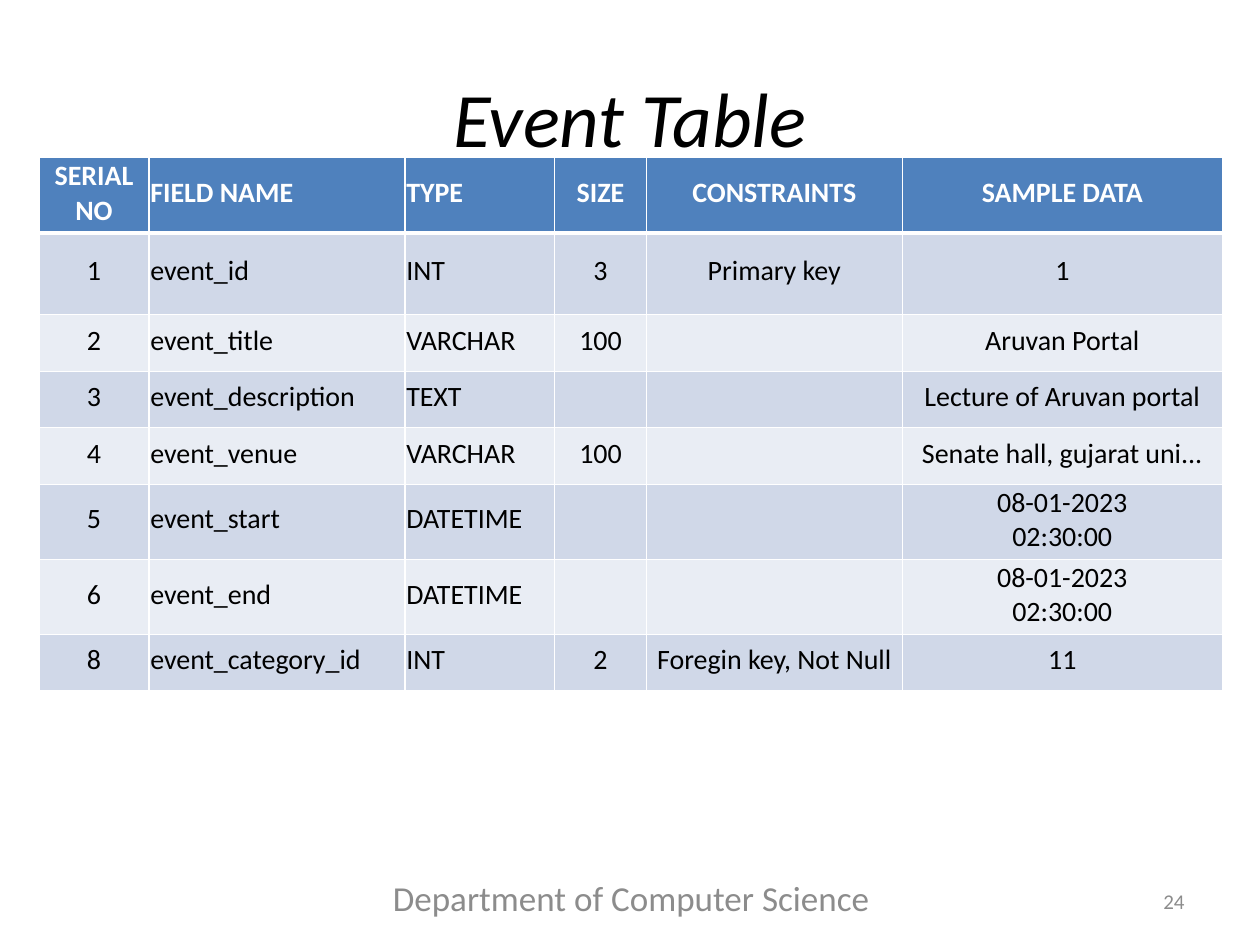
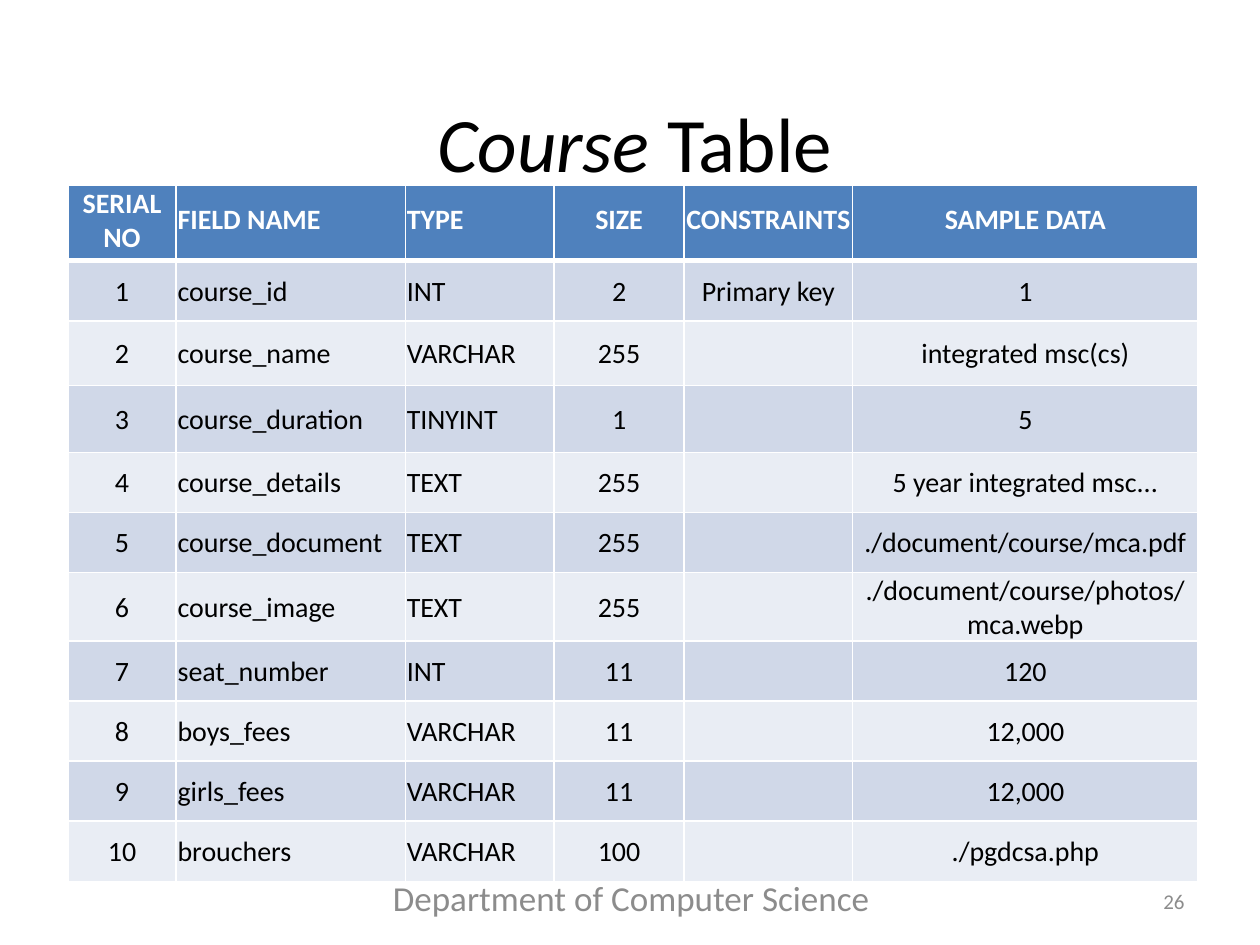
from lxml import etree
from pptx import Presentation
from pptx.dml.color import RGBColor
from pptx.enum.text import MSO_ANCHOR as Anchor, PP_ALIGN as Align
from pptx.oxml.ns import qn
from pptx.util import Cm, Pt

COLORS = {
    "text": "000000",
    "footer": "8C8C8C",
    "header": "4F81BD",
    "header_text": "FFFFFF",
    "band_dark": "D0D8E8",
    "band_light": "E9EDF4",
    "border": "FFFFFF",
}

# Text formats shared by both slides
BASE = {"name": "Calibri", "bold": False, "italic": False}
TITLE = {**BASE, "size": 44, "color": "text"}
FOOTER = {**BASE, "size": 20, "color": "footer"}
PAGE_NO = {**BASE, "size": 12, "color": "footer"}
HEAD = {**BASE, "size": 16, "color": "header_text", "bold": True}
BODY = {**BASE, "size": 16, "color": "text"}

HEADINGS = ("SERIAL NO", "FIELD NAME", "TYPE", "SIZE", "CONSTRAINTS", "SAMPLE DATA")
ALIGNS = (Align.CENTER, Align.LEFT, Align.LEFT) + (Align.CENTER,) * 3

EVENT_ROWS = [
    ("1", "event_id", "INT", "3", "Primary key", "1"),
    ("2", "event_title", "VARCHAR", "100", "", "Aruvan Portal"),
    ("3", "event_description", "TEXT", "", "", "Lecture of Aruvan portal"),
    ("4", "event_venue", "VARCHAR", "100", "", "Senate hall, gujarat uni..."),
    ("5", "event_start", "DATETIME", "", "", "08-01-2023\n02:30:00"),
    ("6", "event_end", "DATETIME", "", "", "08-01-2023\n02:30:00"),
    ("8", "event_category_id", "INT", "2", "Foregin key, Not Null", "11"),
]
COURSE_ROWS = [
    ("1", "course_id", "INT", "2", "Primary key", "1"),
    ("2", "course_name", "VARCHAR", "255", "", "integrated msc(cs)"),
    ("3", "course_duration", "TINYINT", "1", "", "5"),
    ("4", "course_details", "TEXT", "255", "", "5 year integrated msc..."),
    ("5", "course_document", "TEXT", "255", "", "./document/course/mca.pdf"),
    ("6", "course_image", "TEXT", "255", "", "./document/course/photos/mca.webp"),
    ("7", "seat_number", "INT", "11", "", "120"),
    ("8", "boys_fees", "VARCHAR", "11", "", "12,000"),
    ("9", "girls_fees", "VARCHAR", "11", "", "12,000"),
    ("10", "brouchers", "VARCHAR", "100", "", "./pgdcsa.php"),
]


def rgb(key):
    return RGBColor.from_string(COLORS[key])


def format_font(font, fmt):
    for key, value in fmt.items():
        if key == "color":
            font.color.rgb = rgb(value)
        else:
            setattr(font, key, Pt(value) if key == "size" else value)


def add_text(s, box, runs, fmt, align):
    """Add a text box; runs is a list of (text, italic)."""
    tf = s.shapes.add_textbox(*map(Cm, box)).text_frame
    tf.word_wrap = True
    tf.vertical_anchor = Anchor.MIDDLE
    p = tf.paragraphs[0]
    p.alignment = align
    for text, italic in runs:
        r = p.add_run()
        r.text = text
        format_font(r.font, {**fmt, "italic": italic})


def add_title(s, left, top, runs):
    add_text(s, (left, top, 22.86, 3.18), runs, TITLE, Align.CENTER)


def add_footer(s, number):
    add_text(s, (7.19, 17.58, 11.23, 1.02), [("Department of Computer Science ", False)],
             FOOTER, Align.CENTER)
    add_text(s, (18.21, 17.65, 5.92, 1.02), [(number, False)], PAGE_NO, Align.RIGHT)


def set_borders(cell, widths):
    """Draw the cell's borders; must run before the cell is filled."""
    tc_pr = cell._tc.get_or_add_tcPr()
    for side, width in widths.items():
        ln = etree.SubElement(tc_pr, qn(f"a:ln{side}"), w=str(Pt(width)))
        fill = etree.SubElement(ln, qn("a:solidFill"))
        etree.SubElement(fill, qn("a:srgbClr"), val=COLORS["border"])


def fill_cell(cell, text, row, align, bottom):
    # The line under the header is thicker than the others
    set_borders(cell, {"L": 1, "R": 1, "T": 3 if row == 1 else 1, "B": 3 if row == 0 else 1})
    band = "header" if row == 0 else "band_dark" if row % 2 else "band_light"
    cell.fill.solid()
    cell.fill.fore_color.rgb = rgb(band)
    if not text:
        return
    cell.vertical_anchor = Anchor.MIDDLE
    cell.margin_left = cell.margin_right = cell.margin_top = Cm(0.03)
    cell.margin_bottom = Cm(bottom)
    cell.text_frame.text = text
    for p in cell.text_frame.paragraphs:
        p.alignment = align
        for r in p.runs:
            format_font(r.font, HEAD if row == 0 else BODY)


def add_field_table(s, left, top, widths, heights, rows, body_bottom):
    """Add a table of database fields under the common headings."""
    data = [HEADINGS, *rows]
    size = (sum(widths), sum(heights))
    table = s.shapes.add_table(len(data), len(HEADINGS), *map(Cm, (left, top, *size))).table
    for col, width in zip(table.columns, widths):
        col.width = Cm(width)
    for i, (values, height) in enumerate(zip(data, heights)):
        table.rows[i].height = Cm(height)
        for j, (text, align) in enumerate(zip(values, ALIGNS)):
            fill_cell(table.cell(i, j), text, i, align, body_bottom if i else 0.13)


def main():
    prs = Presentation()
    prs.slide_width, prs.slide_height = Cm(25.4), Cm(19.05)
    blank = prs.slide_layouts[6]

    # Event table
    s = prs.slides.add_slide(blank)
    add_title(s, 1.27, 0.76, [("Event Table", True)])
    add_footer(s, "24")
    add_field_table(s, 0.79, 3.18, (2.21, 5.16, 3.02, 1.85, 5.16, 6.45),
                    [1.24, 1.65] + [1.14] * 6, EVENT_ROWS, 0.13)

    # Course table
    s = prs.slides.add_slide(blank)
    add_footer(s, "26")
    add_title(s, 1.37, 1.27, [("Course ", True), ("Table", False)])
    add_field_table(s, 1.37, 3.73, (2.18, 4.62, 3, 2.62, 3.4, 6.96),
                    [1.52, 1.22, 1.3, 1.35] + [1.21] * 7, COURSE_ROWS, 0)

    prs.save("out.pptx")


if __name__ == "__main__":
    main()
